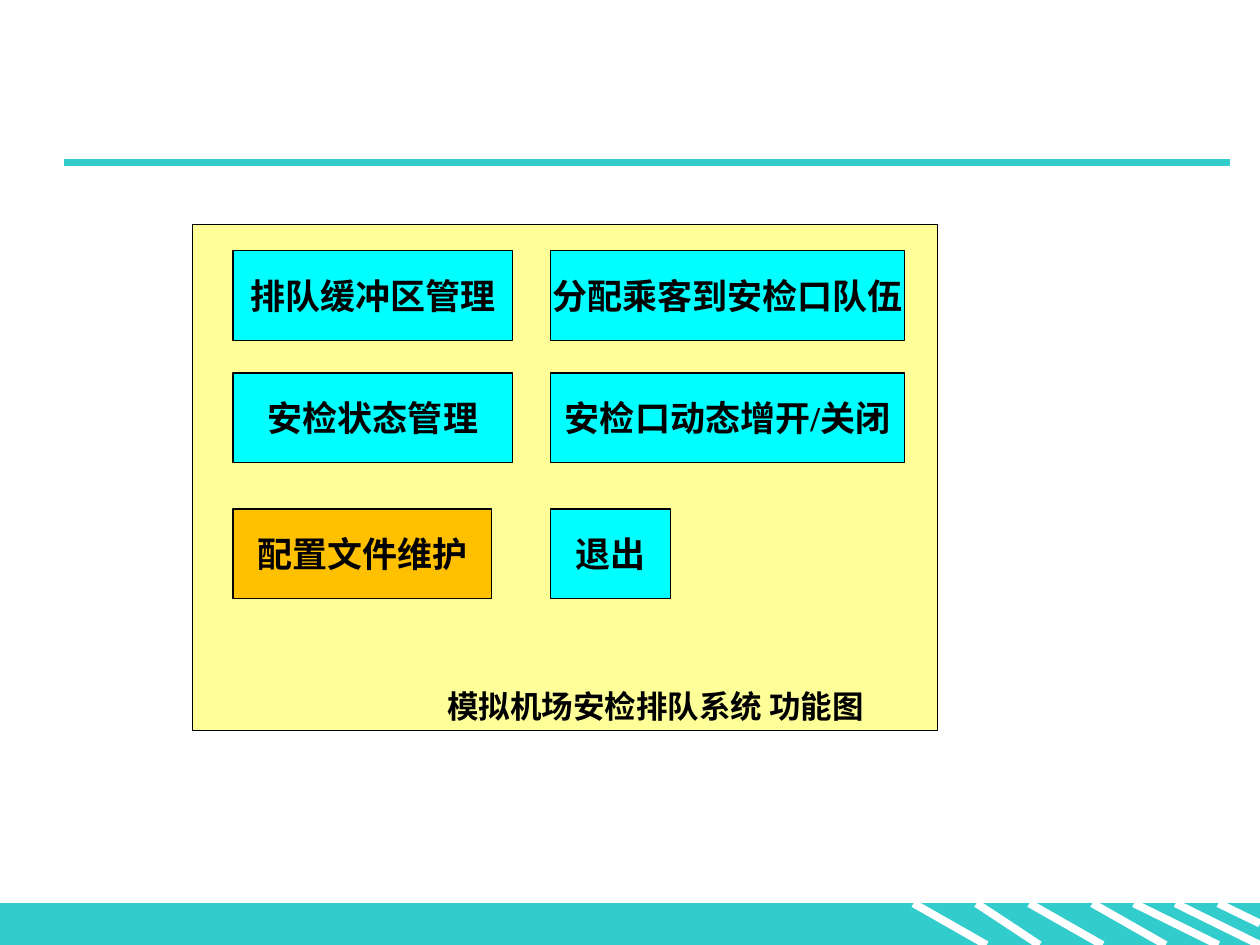
import pptx
import pptx.util
import pptx.dml.color
import pptx.enum.shapes
import pptx.enum.text
import pptx.oxml.ns
import lxml.etree
from dataclasses import dataclass

Inches, Pt = pptx.util.Inches, pptx.util.Pt
RECT = pptx.enum.shapes.MSO_SHAPE.RECTANGLE


@dataclass(frozen=True)
class Theme:
    font: str = "Times New Roman"
    text: str = "000000"
    band: str = "33CCCC"
    stripe: str = "FFFFFF"
    panel: str = "FFFF99"
    function: str = "00FFFF"
    config: str = "FFC000"
    box_size: int = 20
    caption_size: int = 18
    thin: float = 0.75
    thick: float = 4.5


T = Theme()

CAPTION = "模拟机场安检排队系统 功能图"
# Each row: (text, width, fill) for the left and the right column
ROWS = [
    [("排队缓冲区管理", 2.22, T.function), ("分配乘客到安检口队伍", 2.81, T.function)],
    [("安检状态管理", 2.22, T.function), ("安检口动态增开/关闭", 2.81, T.function)],
    [("配置文件维护", 2.05, T.config), ("退出", 0.95, T.function)],
]
COLUMN_LEFT = [1.85, 4.37]
ROW_TOP = [1.99, 2.96, 4.04]
BOX_HEIGHT = 0.71

BAND_TOP, BAND_BOTTOM = 7.17, 7.5
# Stripes in the footer band: start x, end x, end y
STRIPES = [
    (7.25, 7.83, BAND_BOTTOM),
    (7.75, 8.25, BAND_BOTTOM),
    (8.17, 8.75, BAND_BOTTOM),
    (8.67, 9.25, BAND_BOTTOM),
    (9, 9.67, BAND_BOTTOM),
    (9.33, 10, BAND_BOTTOM),
    (9.67, 10, 7.33),
]


def rgb(value):
    return pptx.dml.color.RGBColor.from_string(value)


def add_rect(s, left, top, width, height, fill, line):
    sp = s.shapes.add_shape(RECT, Inches(left), Inches(top), Inches(width), Inches(height))
    sp.shadow.inherit = False
    sp.fill.solid()
    sp.fill.fore_color.rgb = rgb(fill)
    sp.line.color.rgb = rgb(line)
    sp.line.width = Pt(T.thin)
    return sp


def add_line(s, x1, y1, x2, y2, color):
    line = s.shapes.add_connector(pptx.enum.shapes.MSO_CONNECTOR.STRAIGHT,
                                  Inches(x1), Inches(y1), Inches(x2), Inches(y2))
    line.line.color.rgb = rgb(color)
    line.line.width = Pt(T.thick)
    lxml.etree.SubElement(line._element.spPr, pptx.oxml.ns.qn("a:effectLst"))


def write(tf, text, size, align):
    p = tf.paragraphs[0]
    p.alignment = align
    r = p.add_run()
    r.text = text
    r.font.name = T.font
    r.font.size = Pt(size)
    r.font.bold = True
    r.font.color.rgb = rgb(T.text)


def add_template(s):
    """Draw the footer band with its stripes and the header rule."""
    add_rect(s, 0, BAND_TOP, 10, BAND_BOTTOM - BAND_TOP, T.band, T.band)
    for x1, x2, y2 in STRIPES:
        add_line(s, x1, BAND_TOP, x2, y2, T.stripe)
    add_line(s, 0.51, 1.29, 9.76, 1.29, T.band)


def add_function_map(s):
    align = pptx.enum.text.PP_ALIGN
    add_rect(s, 1.53, 1.78, 5.91, 4.02, T.panel, T.text)
    for top, row in zip(ROW_TOP, ROWS):
        for left, (text, width, fill) in zip(COLUMN_LEFT, row):
            tf = add_rect(s, left, top, width, BOX_HEIGHT, fill, T.text).text_frame
            tf.word_wrap = False
            tf.vertical_anchor = pptx.enum.text.MSO_ANCHOR.MIDDLE
            write(tf, text, T.box_size, align.CENTER)
    tf = s.shapes.add_textbox(Inches(3.45), Inches(5.4), Inches(3.73), Inches(0.4)).text_frame
    tf.word_wrap = True
    tf.auto_size = pptx.enum.text.MSO_AUTO_SIZE.SHAPE_TO_FIT_TEXT
    write(tf, CAPTION, T.caption_size, align.LEFT)


def main():
    prs = pptx.Presentation()
    prs.slide_width, prs.slide_height = Inches(10), Inches(7.5)
    s = prs.slides.add_slide(prs.slide_layouts[6])
    add_template(s)
    add_function_map(s)
    prs.save("out.pptx")


if __name__ == "__main__":
    main()
